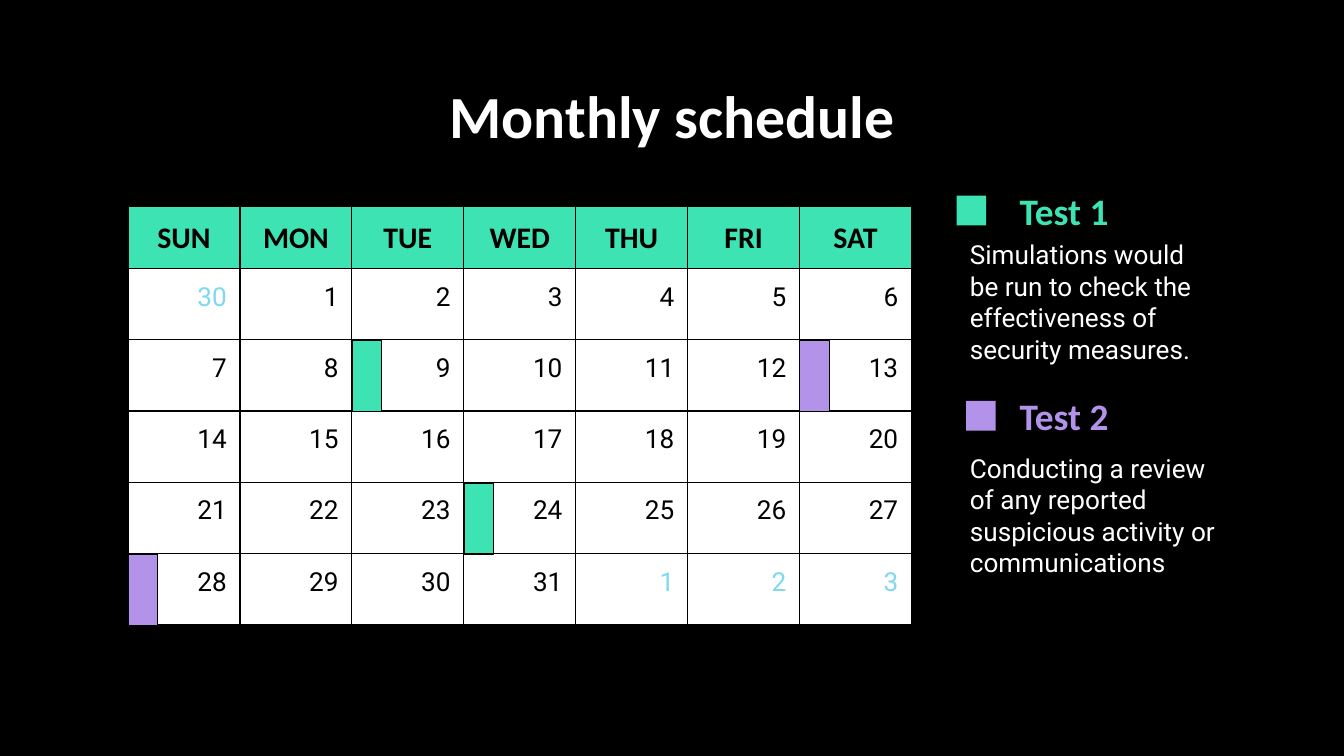
from lxml.etree import SubElement
from pptx import Presentation
from pptx.dml.color import RGBColor
from pptx.enum.shapes import MSO_SHAPE
from pptx.enum.text import MSO_ANCHOR, PP_ALIGN
from pptx.oxml.ns import qn
from pptx.util import Cm, Pt

BLACK = RGBColor(0x00, 0x00, 0x00)
WHITE = RGBColor(0xFF, 0xFF, 0xFF)
GREEN = RGBColor(0x3D, 0xE3, 0xB3)
LILAC = RGBColor(0xB3, 0x92, 0xEA)
SKY = RGBColor(0x7F, 0xD8, 0xEF)

HEAD, BODY = "Calibri", "Roboto"
INSET = Cm(0.25)
MARK = 0.56  # width of a colour key, in cm
DAYS = ["SUN", "MON", "TUE", "WED", "THU", "FRI", "SAT"]
# Each date with its colour; days of the months around are pale
DATES = ([(30, SKY)] + [(day, BLACK) for day in range(1, 32)]
         + [(day, SKY) for day in range(1, 4)])
# Column, week and colour of each planned test
TESTS = [(2, 1, GREEN), (3, 3, GREEN), (0, 4, LILAC), (6, 1, LILAC)]


def write(frame, text, font, size, color, bold=False, align=PP_ALIGN.LEFT):
    par = frame.paragraphs[0]
    par.alignment = align
    run = par.add_run()
    run.text = text
    run.font.name = font
    run.font.size = Pt(size)
    run.font.bold = bold
    run.font.color.rgb = color


def label(slide, box, text, font, size, color, bold=False,
          align=PP_ALIGN.LEFT, anchor=MSO_ANCHOR.MIDDLE):
    frame = slide.shapes.add_textbox(*map(Cm, box)).text_frame
    frame.word_wrap = True
    frame.vertical_anchor = anchor
    frame.margin_left = frame.margin_right = INSET
    frame.margin_top = frame.margin_bottom = INSET
    write(frame, text, font, size, color, bold, align)


def block(slide, box, color, edge=False):
    shape = slide.shapes.add_shape(MSO_SHAPE.RECTANGLE, *map(Cm, box))
    shape.shadow.inherit = False
    shape.fill.solid()
    shape.fill.fore_color.rgb = color
    if edge:
        shape.line.color.rgb = BLACK
        shape.line.width = Pt(0.75)
    else:
        shape.line.fill.background()


def style(cell, color):
    # Borders come before the fill in the cell's XML
    props = cell._tc.get_or_add_tcPr()
    for side in ("a:lnL", "a:lnR", "a:lnT", "a:lnB"):
        line = SubElement(props, qn(side), w=str(Pt(0.75)))
        fill = SubElement(line, qn("a:solidFill"))
        SubElement(fill, qn("a:srgbClr"), val=str(BLACK))
    cell.fill.solid()
    cell.fill.fore_color.rgb = color
    cell.margin_left = cell.margin_right = INSET
    cell.margin_top = cell.margin_bottom = INSET


def month(slide, box):
    left, top, width, height = box
    cols, weeks = len(DAYS), len(DATES) // len(DAYS)
    head = 1.1
    wide, tall = width / cols, (height - head) / weeks
    grid = slide.shapes.add_table(weeks + 1, cols, *map(Cm, box)).table
    for col in grid.columns:
        col.width = Cm(wide)
    for row in grid.rows:
        row.height = Cm(tall)
    grid.rows[0].height = Cm(head)

    # Names of the days
    for col, day in enumerate(DAYS):
        cell = grid.cell(0, col)
        style(cell, GREEN)
        cell.vertical_anchor = MSO_ANCHOR.MIDDLE
        write(cell.text_frame, day, HEAD, 16, BLACK, True, PP_ALIGN.CENTER)

    # Dates
    for spot, (day, color) in enumerate(DATES):
        row, col = divmod(spot, cols)
        cell = grid.cell(row + 1, col)
        style(cell, WHITE)
        write(cell.text_frame, str(day), BODY, 14, color,
              align=PP_ALIGN.RIGHT)

    # Test days; the header text stretches its row by 0.09 cm
    start = top + head + 0.09
    for col, week, color in TESTS:
        block(slide, (left + col * wide, start + week * tall, MARK, tall),
              color, edge=True)


def legend(slide, box, name, text, color, shift, drop):
    left, top, width, height = box
    block(slide, (left + shift, top + 0.32, MARK, MARK), color)
    label(slide, (left + 0.94, top, 4.37, height), name, HEAD, 20, color, True)
    label(slide, (left, top + drop, width, height), text, BODY, 14, WHITE)


def main():
    deck = Presentation()
    deck.slide_width, deck.slide_height = Cm(25.4), Cm(14.29)
    slide = deck.slides.add_slide(deck.slide_layouts[6])
    slide.background.fill.solid()
    slide.background.fill.fore_color.rgb = BLACK

    # Title
    label(slide, (2, 1.24, 21.41, 1.6), "Monthly schedule", HEAD, 32, WHITE,
          True, PP_ALIGN.CENTER, MSO_ANCHOR.TOP)
    # Calendar
    month(slide, (2.42, 3.9, 14.81, 7.83))
    # Legend
    legend(slide, (18.08, 3.38, 5.21, 1.2), "Test 1",
           "Simulations would be run to check the effectiveness of "
           "security measures.", GREEN, 0, 1.72)
    legend(slide, (18.08, 7.26, 5.21, 1.2), "Test 2",
           "Conducting a review of any reported suspicious activity or "
           "communications", LILAC, 0.18, 1.88)
    deck.save("out.pptx")


if __name__ == "__main__":
    main()
